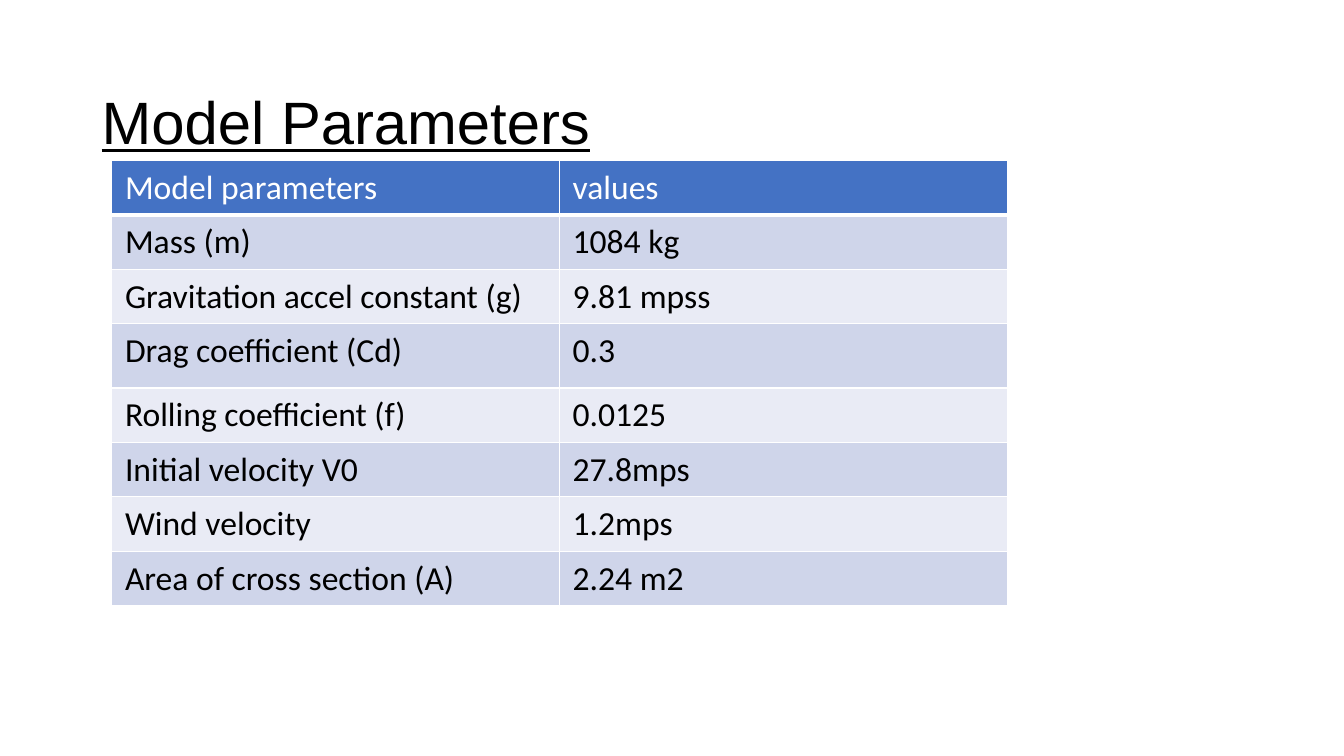
"""Build the Model Parameters slide with its table of values."""
from lxml.etree import SubElement
from pptx import Presentation
from pptx.dml.color import RGBColor as RGB
from pptx.enum.text import MSO_ANCHOR as Anchor
from pptx.oxml.ns import qn
from pptx.util import Inches, Pt

ROWS = [
    ("Model parameters", "values"),
    ("Mass (m)", "1084 kg"),
    ("Gravitation accel constant (g)", "9.81 mpss"),
    ("Drag coefficient (Cd)", "0.3"),
    ("Rolling coefficient (f)", "0.0125"),
    ("Initial velocity V0", "27.8mps"),
    ("Wind velocity", "1.2mps"),
    ("Area of cross section (A)", "2.24 m2"),
]
HEAD, DARK, LIGHT = "4472C4", "CFD5EA", "E9EBF5"
WHITE, BLACK = "FFFFFF", "000000"


def write(frame, text, size=24, face="Calibri", color=BLACK, line=False):
    run = frame.paragraphs[0].add_run()
    run.text = text
    font = run.font
    font.size, font.name, font.bold = Pt(size), face, False
    font.underline = line
    font.color.rgb = RGB.from_string(color)


def edge(cell, side, width):
    line = SubElement(cell._tc.get_or_add_tcPr(), qn("a:ln" + side), w=str(Pt(width)))
    fill = SubElement(line, qn("a:solidFill"))
    SubElement(fill, qn("a:srgbClr"), val=WHITE)


deck = Presentation()
deck.slide_width, deck.slide_height = Inches(13.33), Inches(7.5)
slide = deck.slides.add_slide(deck.slide_layouts[6])

title = slide.shapes.add_textbox(Inches(0.91), Inches(0.71), Inches(12.42), Inches(0.84))
frame = title.text_frame
frame.word_wrap = True
frame.vertical_anchor = Anchor.BOTTOM
frame.margin_left = frame.margin_right = Inches(0.1)
frame.margin_top = frame.margin_bottom = 0
write(frame, "Model Parameters", size=42.7, face="Arial", line=True)

table = slide.shapes.add_table(
    len(ROWS), 2, Inches(1.11), Inches(1.59), Inches(8.88), Inches(4.42)
).table
for col in table.columns:
    col.width = Inches(4.44)

for i, row in enumerate(ROWS):
    table.rows[i].height = Inches(0.64 if i == 3 else 0.54)
    shade = HEAD if i == 0 else DARK if i % 2 else LIGHT
    for j, text in enumerate(row):
        cell = table.cell(i, j)
        cell.margin_left = cell.margin_right = Inches(0.13)
        cell.margin_top, cell.margin_bottom = Inches(0.07), Inches(0.06)
        for side in "LRTB":
            edge(cell, side, 3 if i == 0 and side == "B" else 1)
        cell.fill.solid()
        cell.fill.fore_color.rgb = RGB.from_string(shade)
        write(cell.text_frame, text, color=BLACK if i else WHITE)

deck.save("out.pptx")
